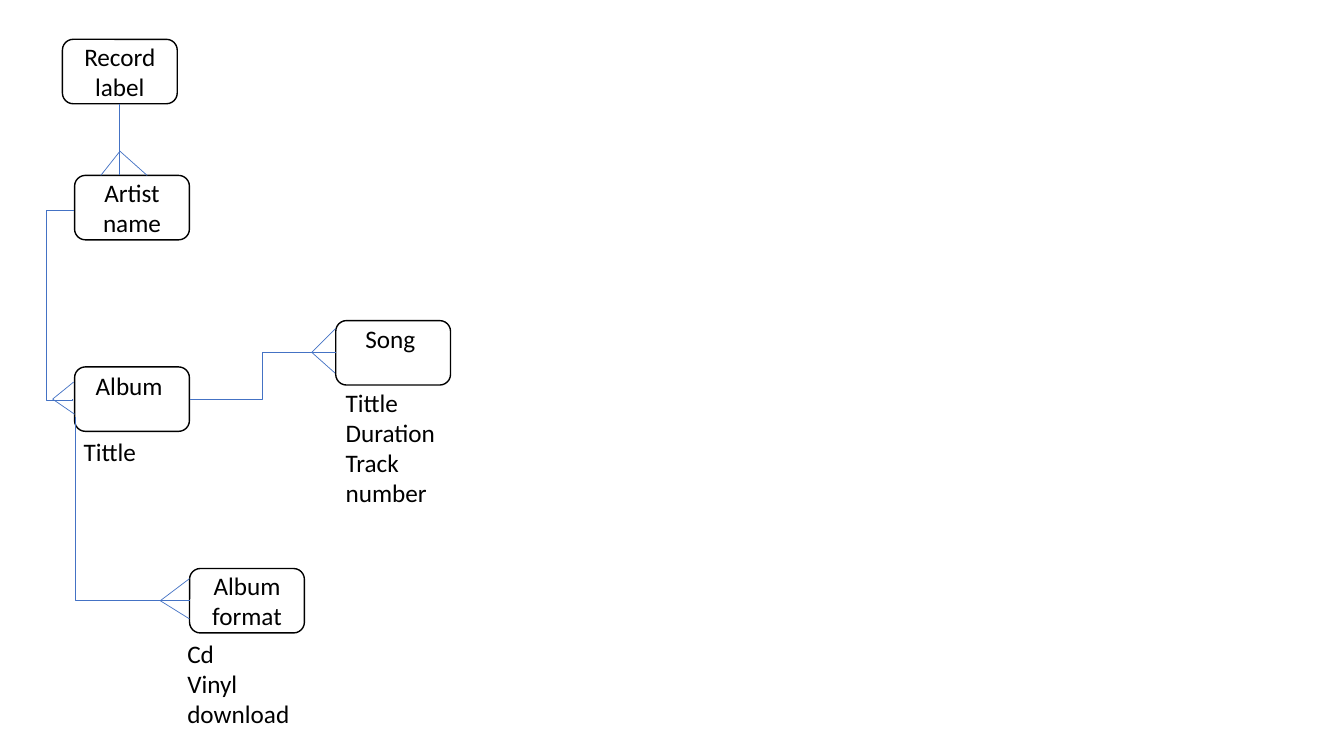
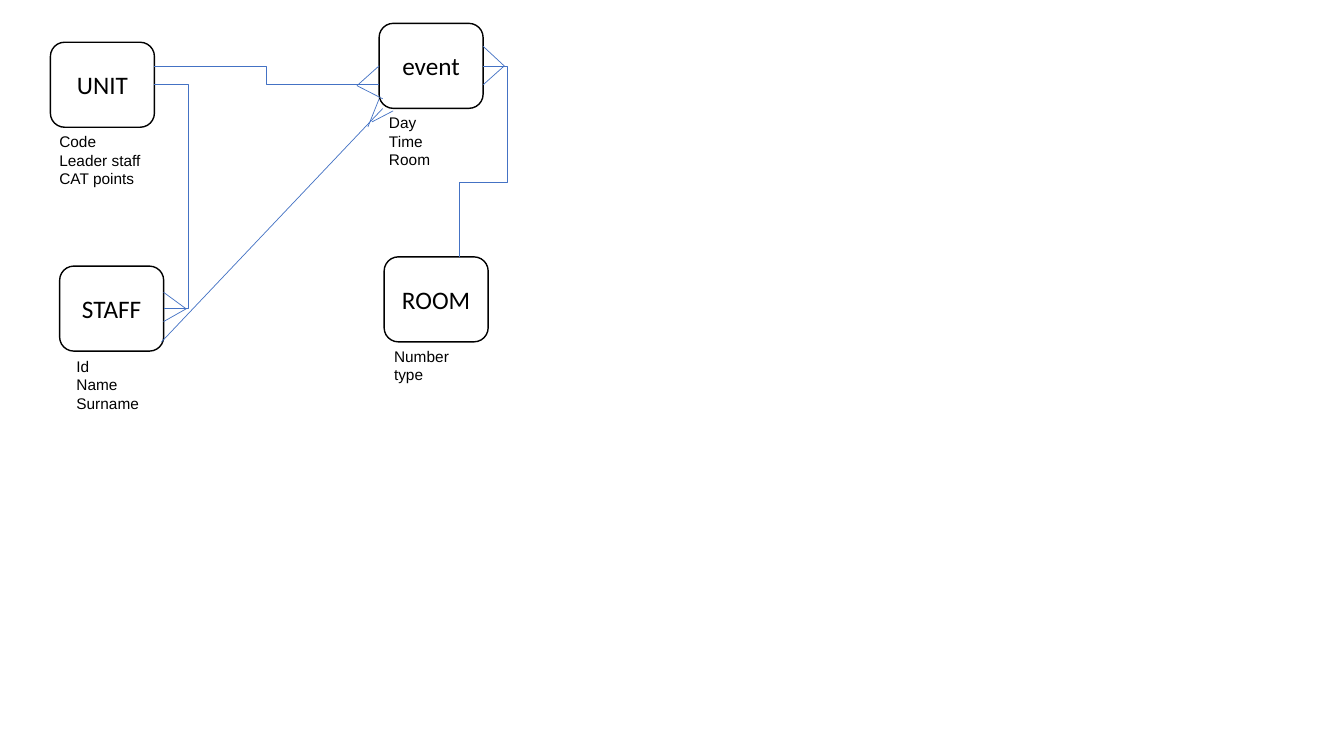
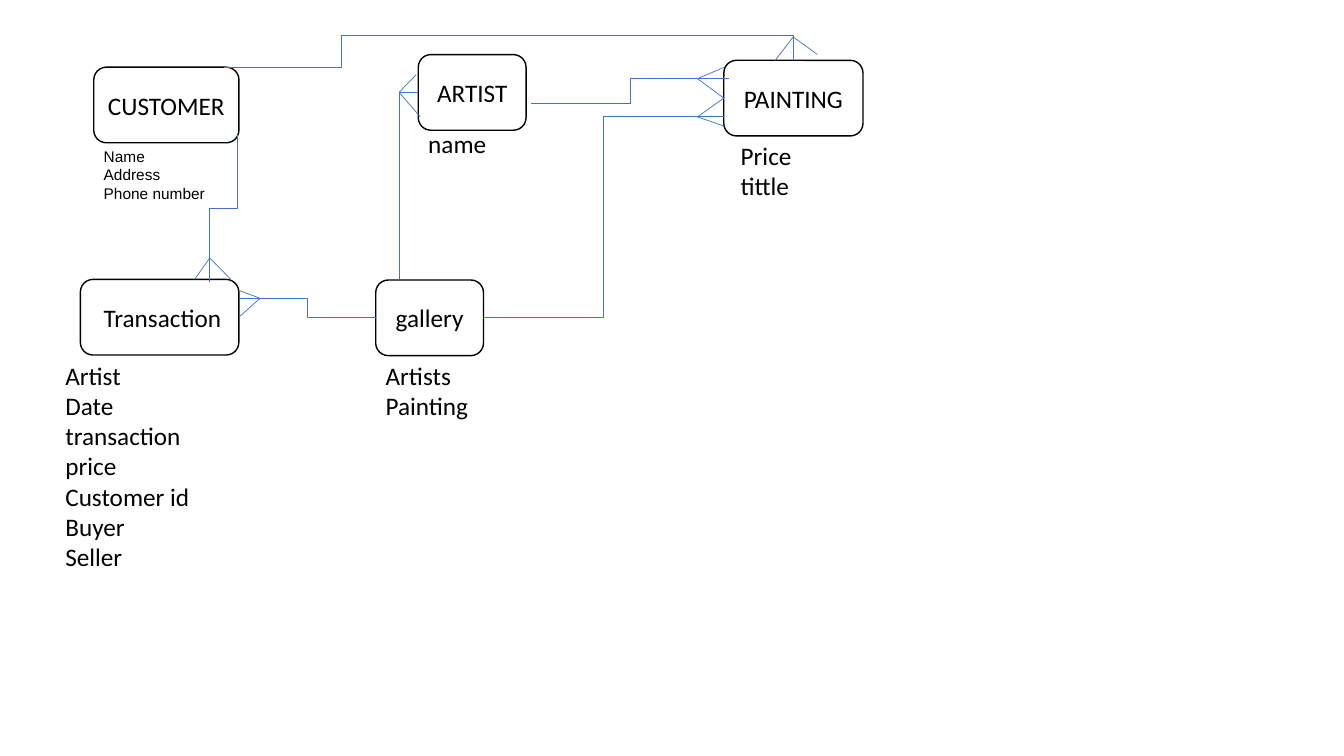
import pptx
import pptx.util
import pptx.dml.color
import pptx.enum.shapes
import pptx.enum.text
import pptx.oxml
import pptx.oxml.ns
from lxml import etree

Pt = pptx.util.Pt
qn = pptx.oxml.ns.qn
RGB = pptx.dml.color.RGBColor
LINK = pptx.enum.shapes.MSO_CONNECTOR
ANCHOR = pptx.enum.text.MSO_ANCHOR
ALIGN = pptx.enum.text.PP_ALIGN
TOP, LEFT, BOTTOM, RIGHT = range(4)


class Theme:
    ink = RGB(0x00, 0x00, 0x00)
    paper = RGB(0xFF, 0xFF, 0xFF)
    blue = RGB(0x44, 0x72, 0xC4)
    edge = Pt(1)
    thin = Pt(0.5)
    main = {"name": "Calibri", "size": Pt(18)}
    small = {"name": "Arial", "size": Pt(11)}


class Deck:
    def __init__(self, theme):
        self.theme = theme
        self.file = pptx.Presentation()
        self.file.slide_width, self.file.slide_height = Pt(960), Pt(540)
        self.shapes = None

    def page(self):
        self.shapes = self.file.slides.add_slide(self.file.slide_layouts[6]).shapes

    def label(self, frame, text, font, align):
        frame.word_wrap = True
        frame.text = text
        for para in frame.paragraphs:
            para.alignment = align
            for name, value in font.items():
                setattr(para.font, name, value)
            para.font.color.rgb = self.theme.ink

    def box(self, text, x, y, wide, high, raised=False):
        """Draw an entity; a raised name sits on the upper line."""
        kind = pptx.enum.shapes.MSO_SHAPE.ROUNDED_RECTANGLE
        shape = self.shapes.add_shape(kind, Pt(x), Pt(y), Pt(wide), Pt(high))
        shape.shadow.inherit = False
        shape.fill.solid()
        shape.fill.fore_color.rgb = self.theme.paper
        shape.line.color.rgb = self.theme.ink
        shape.line.width = self.theme.edge
        frame = shape.text_frame
        self.label(frame, text, self.theme.main, ALIGN.CENTER)
        frame.vertical_anchor = ANCHOR.TOP if raised else ANCHOR.MIDDLE
        if raised:
            frame.margin_top = 0
        return shape

    def note(self, text, x, y, wide, high, font=None):
        shape = self.shapes.add_textbox(Pt(x), Pt(y), Pt(wide), Pt(high))
        self.label(shape.text_frame, text, font or self.theme.main, ALIGN.LEFT)

    def line(self, start, end, kind=LINK.STRAIGHT):
        link = self.shapes.add_connector(kind, *map(Pt, (*start, *end)))
        link.line.color.rgb = self.theme.blue
        link.line.width = self.theme.thin
        etree.SubElement(link._element.spPr, qn("a:effectLst"))
        return link

    def foot(self, tip, *toes):
        """Draw a crow's foot; a toe is a point or a (box, side) pair."""
        for toe in toes:
            if isinstance(toe[0], (int, float)):
                self.line(tip, toe)
            else:
                self.line(tip, tip).end_connect(*toe)

    def bend(self, start, end, *turns, down=False):
        """Draw an elbow; turns are the coordinates, x and y by turns, of its
        inner legs. With down, the first leg is vertical."""
        (x1, y1), (x2, y2) = start, end
        wide, high = x2 - x1, y2 - y1
        steps = [(x1, wide), (y1, high)]
        if down:
            steps.reverse()
            midx, midy = (x1 + x2) / 2, (y1 + y2) / 2
            start = midx - high / 2, midy + wide / 2
            end = midx + high / 2, midy - wide / 2
        link = self.line(start, end, LINK.ELBOW)
        if down:
            link._element.spPr.find(qn("a:xfrm")).set("rot", "5400000")
        geom = link._element.spPr.find(qn("a:prstGeom"))
        geom.set("prst", f"bentConnector{len(turns) + 2}")
        guides = geom.find(qn("a:avLst"))
        for i, turn in enumerate(turns):
            base, span = steps[i % 2]
            ratio = round((turn - base) / span * 100000)
            etree.SubElement(guides, qn("a:gd"), name=f"adj{i + 1}", fmla=f"val {ratio}")


def music(deck):
    deck.page()
    size = 82, 46
    deck.box("Artist\nname", 53.3, 125.3, *size)
    deck.box("Song ", 239.8, 229, *size, raised=True)
    deck.box("Album format", 135.4, 406.1, *size)
    deck.box("Album ", 53.3, 262.1, *size, raised=True)
    firm = deck.box("Record label", 44.6, 28.1, *size)
    deck.note("Tittle", 52.6, 308.2, 93, 51)
    deck.note("Tittle\nDuration\nTrack number", 239.8, 272.9, 81.4, 94.3)
    deck.note("Cd\nVinyl\ndownload", 126.7, 452.2, 88.6, 72.7)

    deck.line((85.6, 74.1), (85.6, 125.3)).begin_connect(firm, BOTTOM)
    deck.bend((52.8, 150.1), (52, 285.3), 33.1, 286)
    deck.bend((135.4, 285.1), (239.8, 252), 187.5)
    deck.bend((53.6, 298.1), (135.4, 429.1), down=True)
    deck.foot((85.7, 108), (105.1, 125.3), (72, 125.3))
    deck.foot((222.7, 251.7), (239.8, 234.7), (239.2, 266.4))
    deck.foot((37.6, 285.1), (52.6, 272.9), (53.3, 295.9))
    deck.foot((114.5, 429.1), (135.4, 413.3), (135.4, 442.1))


def college(deck):
    deck.page()
    size = 74.3, 60.7
    small = deck.theme.small
    deck.box("UNIT", 36, 30.2, *size)
    deck.box("STAFF", 42.6, 190.1, *size)
    deck.box("ROOM", 274.4, 183.5, *size)
    event = deck.box("event", 270.8, 16.7, *size)
    deck.note("Code\nLeader staff\nCAT points", 35.3, 90.9, 88.6, 47.5, small)
    deck.note("Id\nName\nSurname", 47.5, 251.3, 69.1, 60.5, small)
    deck.note("Number\ntype", 274.4, 244.2, 76.3, 33.8, small)
    deck.note("Day\nTime\nRoom", 270.8, 77.5, 76.3, 47.5, small)

    deck.bend((110.3, 60.6), (116.9, 220.4), 134.7)
    deck.bend((110.3, 47.1), (270.8, 60.6), 190.4)
    deck.bend((328.3, 183.5), (345.1, 47.1), 130.2, 362.6, down=True)
    deck.line((115.4, 244.2), (273.4, 77.5))
    deck.foot((133, 220.6), (116.9, 208.8), (116.9, 229.7))
    deck.foot((255, 61.2), (event, LEFT), (273.4, 70.6))
    deck.foot((360.2, 47.1), (345.1, 33.1), (345.1, 60.6))
    deck.line((262.8, 90.7), (270.8, 70.6))
    deck.line((265.7, 87.1), (280.8, 79.2))


def gallery(deck):
    deck.page()
    high = 54
    deck.box("CUSTOMER", 67, 48, 103.7, high)
    paint = deck.box("PAINTING", 517, 43.1, 99.4, high)
    deck.box("ARTIST", 298.8, 39, 77, high)
    trade = deck.box(" Transaction", 57.4, 199.6, 113.2, high)
    deck.box("gallery", 268.4, 200, 77, high)
    deck.note("Name\nAddress\nPhone number", 67, 101.5, 120.2, 47.5, deck.theme.small)
    deck.note("name", 298.8, 87.8, 92.9, 28.8)
    deck.note("Price\ntittle", 522, 96.5, 99.4, 51.1)
    deck.note("Artist\nDate\ntransaction price\nCustomer id\nBuyer\nSeller",
              39.6, 253.6, 131, 203.8)
    deck.note("Artists\nPainting", 268.4, 253.6, 77, 51.1)

    deck.bend((379.4, 74), (521, 56.2), 450.2)
    deck.bend((159.8, 48.2), (566.6, 43.2), 243.6, 25.4)
    deck.bend((169.4, 96.5), (149.6, 201.6), 149, down=True)
    deck.bend((268.4, 227), (170.6, 213.1), 219.6)
    deck.bend((285.1, 199.6), (298.8, 66.2), down=True)
    deck.bend((345.4, 227), (517, 83.5), 431.2)
    for y, toe in ((56.2, 48.2), (83.5, 90)):
        deck.foot((498.2, y), (paint, LEFT), (517, toe))
    deck.foot((566.6, 26.4), (583.9, 38.9), (553.7, 43.2))
    deck.foot((285.1, 65.9), (297.4, 53.3), (300.2, 83.5))
    deck.foot((185.8, 213.1), (trade, RIGHT), (170.6, 207.4))
    deck.foot((149.8, 184.3), (139, 199.6), (164.9, 199.6))


def main():
    deck = Deck(Theme())
    for draw in (music, college, gallery):
        draw(deck)
    deck.file.save("out.pptx")


if __name__ == "__main__":
    main()
